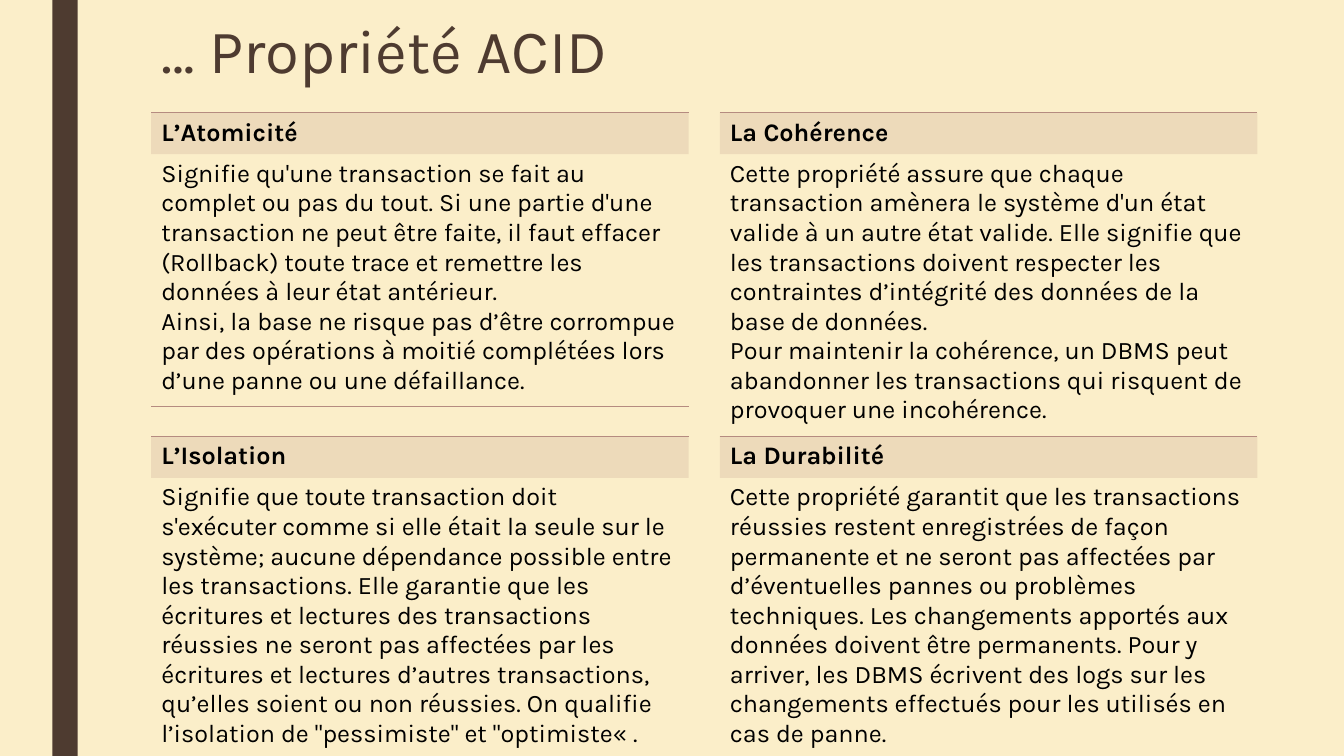
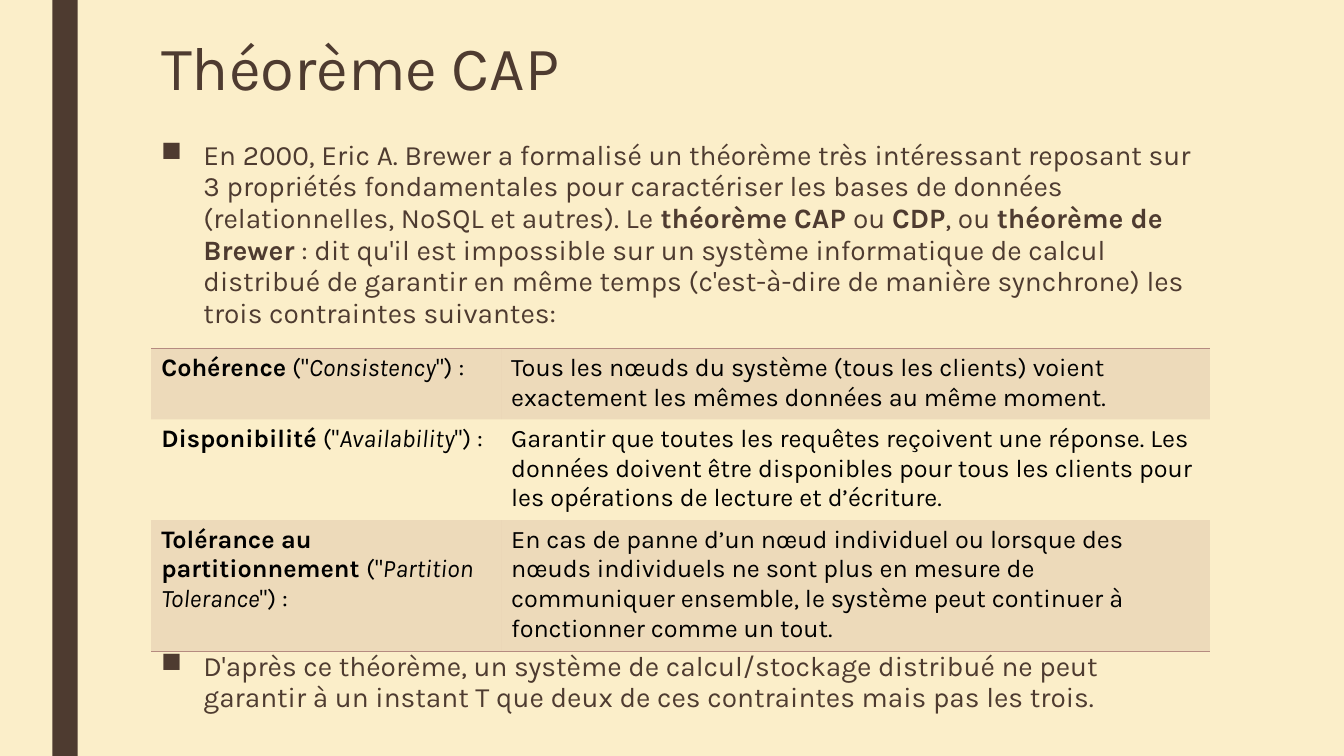
from lxml.etree import SubElement
from pptx import Presentation
from pptx.dml.color import RGBColor
from pptx.enum.shapes import MSO_SHAPE
from pptx.enum.text import MSO_ANCHOR
from pptx.oxml.ns import qn
from pptx.util import Inches, Pt

# Content: a text is a list of paragraphs, a paragraph a list of (words, style)
ACID = [
    ("L’Atomicité", [
        "Signifie qu'une transaction se fait au complet ou pas du tout. Si une partie d'une "
        "transaction ne peut être faite, il faut effacer (Rollback) toute trace et remettre "
        "les données à leur état antérieur.",
        "Ainsi, la base ne risque pas d’être corrompue par des opérations à moitié complétées "
        "lors d’une panne ou une défaillance."]),
    ("La Cohérence", [
        "Cette propriété assure que chaque transaction amènera le système d'un état valide à "
        "un autre état valide. Elle signifie que les transactions doivent respecter les "
        "contraintes d’intégrité des données de la base de données.",
        "Pour maintenir la cohérence, un DBMS peut abandonner les transactions qui risquent "
        "de provoquer une incohérence."]),
    ("L’Isolation", [
        "Signifie que toute transaction doit s'exécuter comme si elle était la seule sur le "
        "système; aucune dépendance possible entre les transactions. Elle garantie que les "
        "écritures et lectures des transactions réussies ne seront pas affectées par les "
        "écritures et lectures d’autres transactions, qu’elles soient ou non réussies. On "
        "qualifie l’isolation de \"pessimiste\" et \"optimiste« ."]),
    ("La Durabilité", [
        "Cette propriété garantit que les transactions réussies restent enregistrées de façon "
        "permanente et ne seront pas affectées par d’éventuelles pannes ou problèmes "
        "techniques. Les changements apportés aux données doivent être permanents. Pour y "
        "arriver, les DBMS écrivent des logs sur les changements effectués pour les utilisés "
        "en cas de panne."]),
]
CAP = [
    ("Cohérence", " (\"", "Consistency",
     "Tous les nœuds du système (tous les clients) voient exactement les mêmes données au "
     "même moment."),
    ("Disponibilité", " (\"", "Availability",
     "Garantir que toutes les requêtes reçoivent une réponse. Les données doivent être "
     "disponibles pour tous les clients pour les opérations de lecture et d’écriture."),
    ("Tolérance au partitionnement ", "(\"", "Partition Tolerance",
     "En cas de panne d’un nœud individuel ou lorsque des nœuds individuels ne sont plus en "
     "mesure de communiquer ensemble, le système peut continuer à fonctionner comme un tout."),
]
INTRO = [
    ("En 2000, Eric A. Brewer a formalisé un théorème très intéressant reposant sur 3 "
     "propriétés fondamentales pour caractériser les bases de données (relationnelles, NoSQL "
     "et autres). Le ", ""),
    ("théorème CAP ", "b"), ("ou ", ""), ("CDP", "b"), (", ou ", ""),
    ("théorème de Brewer", "b"),
    (" : dit qu'il est impossible sur un système informatique de calcul distribué de garantir "
     "en même temps (c'est-à-dire de manière synchrone) les trois contraintes suivantes:", ""),
]
END = [("D'après ce théorème, un système de calcul/stockage distribué ne peut garantir à un "
        "instant T que deux de ces contraintes mais pas les trois.", "")]

# Shared look
HUE = {"page": "FBEEC9", "dark": "4E3B30", "rose": "B58B80", "ink": "000000"}
FONT = "Karla"
WIDE, HIGH = 13.33, 7.5
LEFT, SPAN = 1.5, 10.5
ROW = 0.41
TITLE = {"size": 44, "hue": "dark", "para": {"line_spacing": 0.89}}
ITEM = {"size": 20, "hue": "dark", "bullet": "■", "para": {
    "line_spacing": 0.94, "space_before": Pt(10), "space_after": Pt(2)}}
CELL = {"size": 18, "hue": "ink", "para": {}}


def color(key):
    return RGBColor.from_string(HUE[key])


def write(frame, text, look):
    frame.word_wrap = True
    for n, runs in enumerate(text):
        para = frame.paragraphs[0] if n == 0 else frame.add_paragraph()
        for key, val in look["para"].items():
            setattr(para, key, val)
        if "bullet" in look:
            prop = para._p.get_or_add_pPr()
            prop.set("marL", str(Inches(0.42)))
            prop.set("indent", str(-Inches(0.42)))
            SubElement(prop, qn("a:buChar"), char=look["bullet"])
        for words, style in runs:
            run = para.add_run()
            run.text = words
            form = {"name": FONT, "size": Pt(look["size"]),
                    "bold": "b" in style, "italic": "i" in style}
            for key, val in form.items():
                setattr(run.font, key, val)
            run.font.color.rgb = color(look["hue"])


def add_text(slide, top, high, text, look):
    box = slide.shapes.add_textbox(*map(Inches, (LEFT, top, SPAN, high)))
    box.text_frame.vertical_anchor = MSO_ANCHOR.TOP
    write(box.text_frame, text, look)


def add_rule(cell, side, shown):
    prop = cell._tc.get_or_add_tcPr()
    line = SubElement(prop, qn("a:ln" + side), w=str(Pt(1)))
    if shown:
        fill = SubElement(line, qn("a:solidFill"))
        SubElement(fill, qn("a:srgbClr"), val=HUE["rose"])
    else:
        SubElement(line, qn("a:noFill"))


def add_grid(slide, left, top, cols, rows):
    """Rules above and below the table, a tint on every other row."""
    size = (left, top, sum(cols), ROW * len(rows))
    grid = slide.shapes.add_table(len(rows), len(cols), *map(Inches, size)).table
    grid.first_row = grid.horz_banding = False
    for col, wide in zip(grid.columns, cols):
        col.width = Inches(wide)
    for r, row in enumerate(rows):
        grid.rows[r].height = Inches(ROW)
        for c, text in enumerate(row):
            cell = grid.cell(r, c)
            write(cell.text_frame, text, CELL)
            rules = {"L": False, "R": False, "T": r == 0, "B": r == len(rows) - 1}
            for side, shown in rules.items():
                add_rule(cell, side, shown)
            if r % 2:
                cell.fill.background()
                continue
            cell.fill.solid()
            cell.fill.fore_color.rgb = color("rose")
            tint = cell._tc.tcPr.find(qn("a:solidFill"))[0]
            SubElement(tint, qn("a:alpha"), val="20000")


def add_page(deck, title, top, high):
    slide = deck.slides.add_slide(deck.slide_layouts[6])
    slide.background.fill.solid()
    slide.background.fill.fore_color.rgb = color("page")
    band = slide.shapes.add_shape(MSO_SHAPE.RECTANGLE, *map(Inches, (0.52, 0, 0.25, HIGH)))
    band.shadow.inherit = False
    band.fill.solid()
    band.fill.fore_color.rgb = color("dark")
    band.line.fill.background()
    add_text(slide, top, high, [[(title, "")]], TITLE)
    return slide


def main():
    deck = Presentation()
    deck.slide_width, deck.slide_height = Inches(WIDE), Inches(HIGH)

    # Four properties, two by two
    slide = add_page(deck, "… Propriété ACID", 0.16, 0.92)
    wide, gap = 5.33, 0.31
    for n, (head, body) in enumerate(ACID):
        r, c = divmod(n, 2)
        rows = [[[[(head, "b")]]], [[[(para, "")] for para in body]]]
        add_grid(slide, LEFT + c * (wide + gap), 1.12 + r * 3.21, [wide], rows)

    # Theorem with its three constraints
    slide = add_page(deck, "Théorème CAP", 0.33, 1.62)
    rows = [([[(name, "b"), (mark, ""), (term, "i"), ("\") :", "")]], [[(body, "")]])
            for name, mark, term, body in CAP]
    add_grid(slide, LEFT, 3.46, [3.47, SPAN - 3.47], rows)
    add_text(slide, 1.34, 1.86, [INTRO], ITEM)
    add_text(slide, 6.41, 0.77, [END], ITEM)
    deck.save("out.pptx")


if __name__ == "__main__":
    main()
